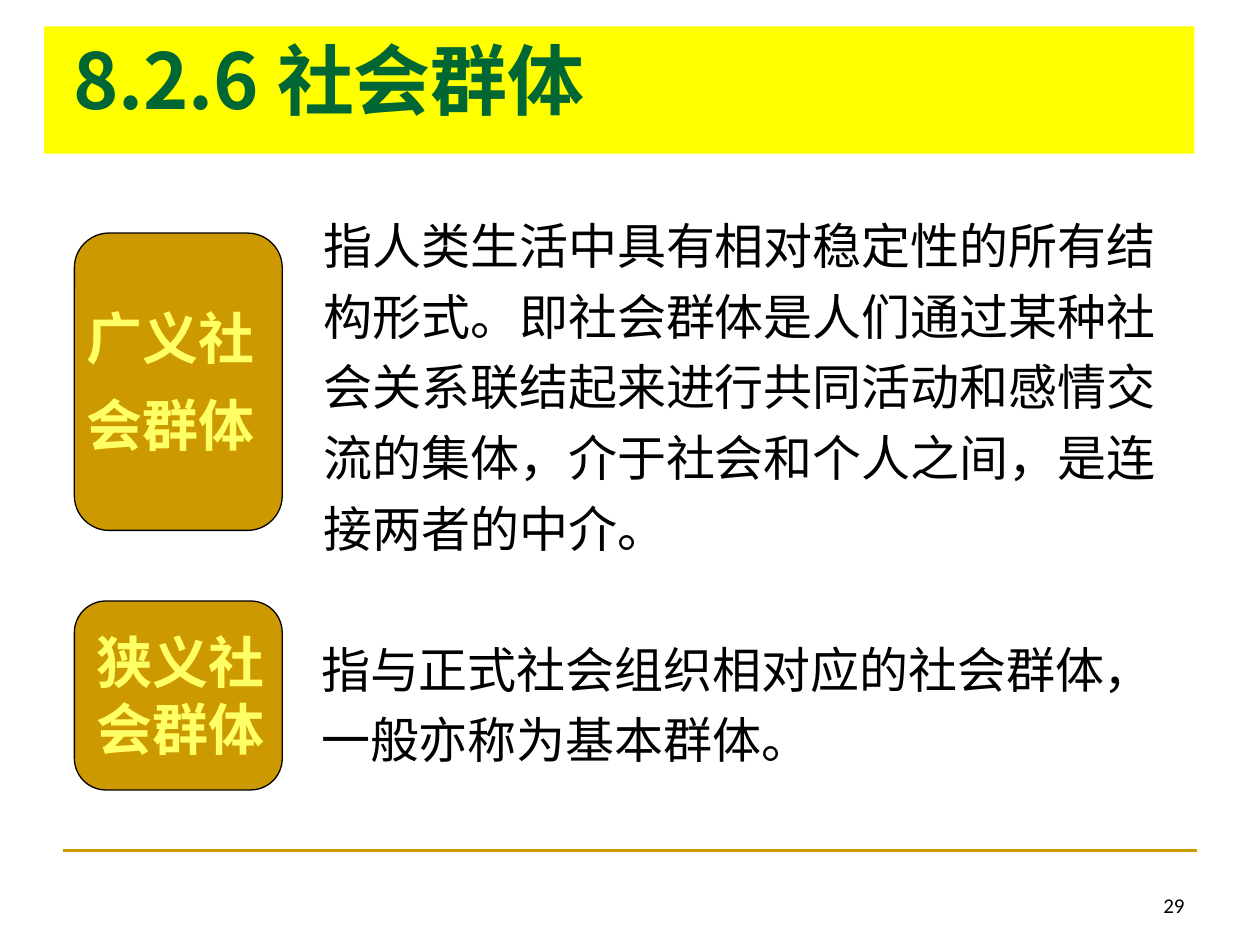
import pptx
import pptx.util
import pptx.dml.color
import pptx.enum.shapes
import pptx.enum.text
import pptx.oxml
import pptx.oxml.ns
import lxml.etree

Inches = pptx.util.Inches
Pt = pptx.util.Pt
SHAPE = pptx.enum.shapes.MSO_SHAPE
ALIGN = pptx.enum.text.PP_ALIGN
ANCHOR = pptx.enum.text.MSO_ANCHOR

COLORS = {"gold": "CC9900", "yellow": "FFFF00", "pale": "FFFF66",
          "green": "006633", "black": "000000"}
CJK = "Noto Sans CJK SC"


def rgb(name):
    return pptx.dml.color.RGBColor.from_string(COLORS[name])


def write(sp, text, size, color, font=CJK, bold=False, spacing=1.0,
          align=ALIGN.LEFT, anchor=ANCHOR.TOP):
    """Write one paragraph into a shape."""
    tf = sp.text_frame
    tf.word_wrap = True
    tf.vertical_anchor = anchor
    p = tf.paragraphs[0]
    p.alignment = align
    p.line_spacing = spacing
    r = p.add_run()
    r.text = text
    r.font.size = Pt(size)
    r.font.bold = bold
    r.font.color.rgb = rgb(color)
    r.font.name = font
    ea = lxml.etree.SubElement(r._r.get_or_add_rPr(), pptx.oxml.ns.qn("a:ea"))
    ea.set("typeface", font)


def add_text(shapes, x, y, w, h, text, size, color, **style):
    sp = shapes.add_textbox(Inches(x), Inches(y), Inches(w), Inches(h))
    write(sp, text, size, color, **style)


def add_box(shapes, kind, x, y, w, h, fill):
    sp = shapes.add_shape(kind, Inches(x), Inches(y), Inches(w), Inches(h))
    sp.shadow.inherit = False
    sp.fill.solid()
    sp.fill.fore_color.rgb = rgb(fill)
    return sp


def add_title(s, x, y, w, h):
    sp = add_box(s.shapes, SHAPE.RECTANGLE, x, y, w, h, "yellow")
    sp.line.fill.background()
    sp.text_frame.margin_left = Inches(0.23)
    write(sp, "8.2.6 社会群体", 44, "green", bold=True)


def add_label(s, x, y, w, h, text, dx, dy, spacing):
    """Rounded card with its term, offset by dx and dy inside the card."""
    shapes = s.shapes.add_group_shape().shapes
    sp = add_box(shapes, SHAPE.ROUNDED_RECTANGLE, x, y, w, h, "gold")
    sp.adjustments[0] = 0.167
    sp.line.color.rgb = rgb("black")
    sp.line.width = Pt(0.75)
    add_text(shapes, x + dx, y + dy, w, h - 2 * dy, text, 32, "pale",
             bold=True, spacing=spacing)


def add_footer(s, x, y, w):
    """Rule with the page number below its right end."""
    line = s.shapes.add_connector(pptx.enum.shapes.MSO_CONNECTOR.STRAIGHT,
                                  Inches(x), Inches(y), Inches(x + w), Inches(y))
    line.line.color.rgb = rgb("gold")
    line.line.width = Pt(1.5)
    lxml.etree.SubElement(line._element.spPr, pptx.oxml.ns.qn("a:effectLst"))
    add_text(s.shapes, x + w - 2.33, y + 0.08, 2.33, 0.5, "29", 12, "black",
             font="Calibri", align=ALIGN.RIGHT, anchor=ANCHOR.BOTTOM)


def main():
    prs = pptx.Presentation()
    prs.slide_width, prs.slide_height = Inches(10), Inches(7.5)
    s = prs.slides.add_slide(prs.slide_layouts[6])

    add_footer(s, 0.5, 6.75, 9)
    add_title(s, 0.35, 0.21, 9.13, 1.01)

    # Broad sense
    add_label(s, 0.59, 1.85, 1.65, 2.36, "广义社会群体", 0, 0.35, 1.3)
    add_text(s.shapes, 2.47, 1.57, 7.03, 3.1,
             "指人类生活中具有相对稳定性的所有结构形式。即社会群体是人们通过某种"
             "社会关系联结起来进行共同活动和感情交流的集体，介于社会和个人之间，"
             "是连接两者的中介。", 28, "black", spacing=1.2)

    # Narrow sense
    add_label(s, 0.59, 4.77, 1.65, 1.5, "狭义社会群体", 0.08, 0.16, 1.0)
    add_text(s.shapes, 2.45, 4.93, 6.85, 1.23,
             "指与正式社会组织相对应的社会群体，一般亦称为基本群体。",
             28, "black", spacing=1.2)

    prs.save("out.pptx")


if __name__ == "__main__":
    main()
